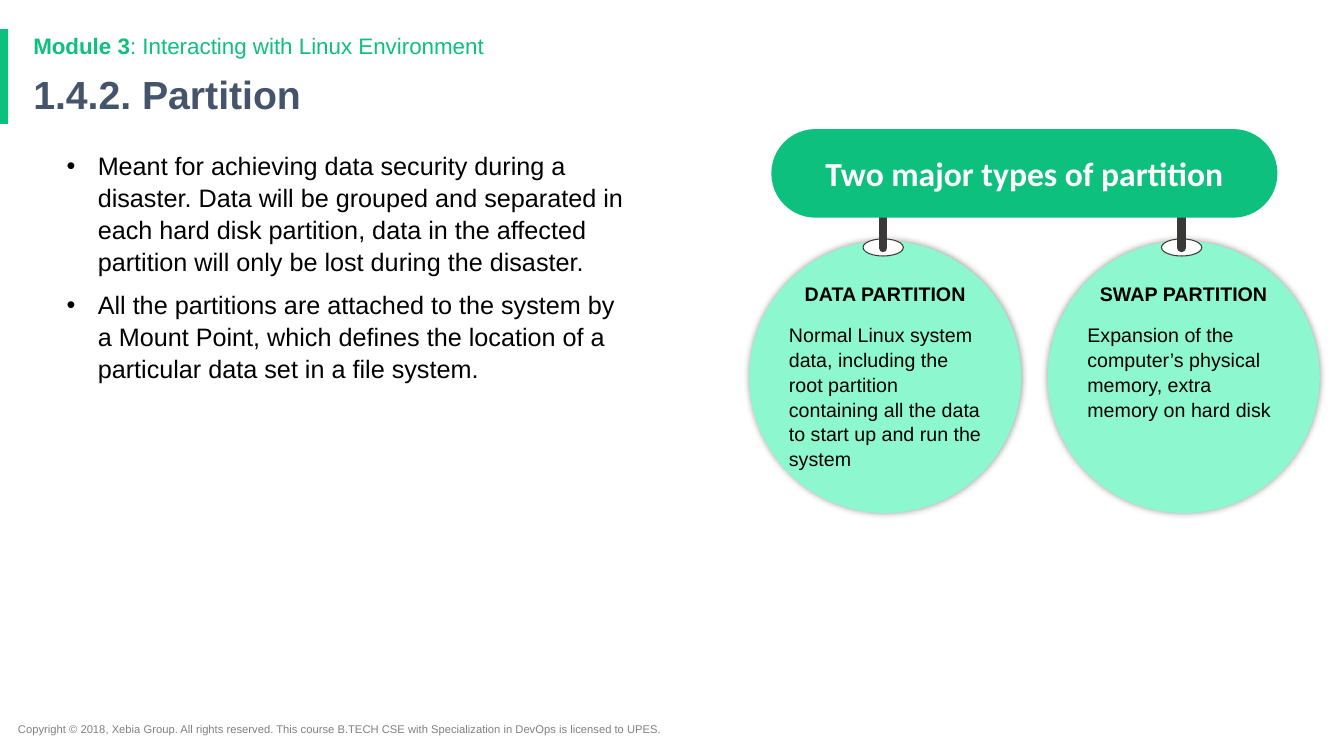
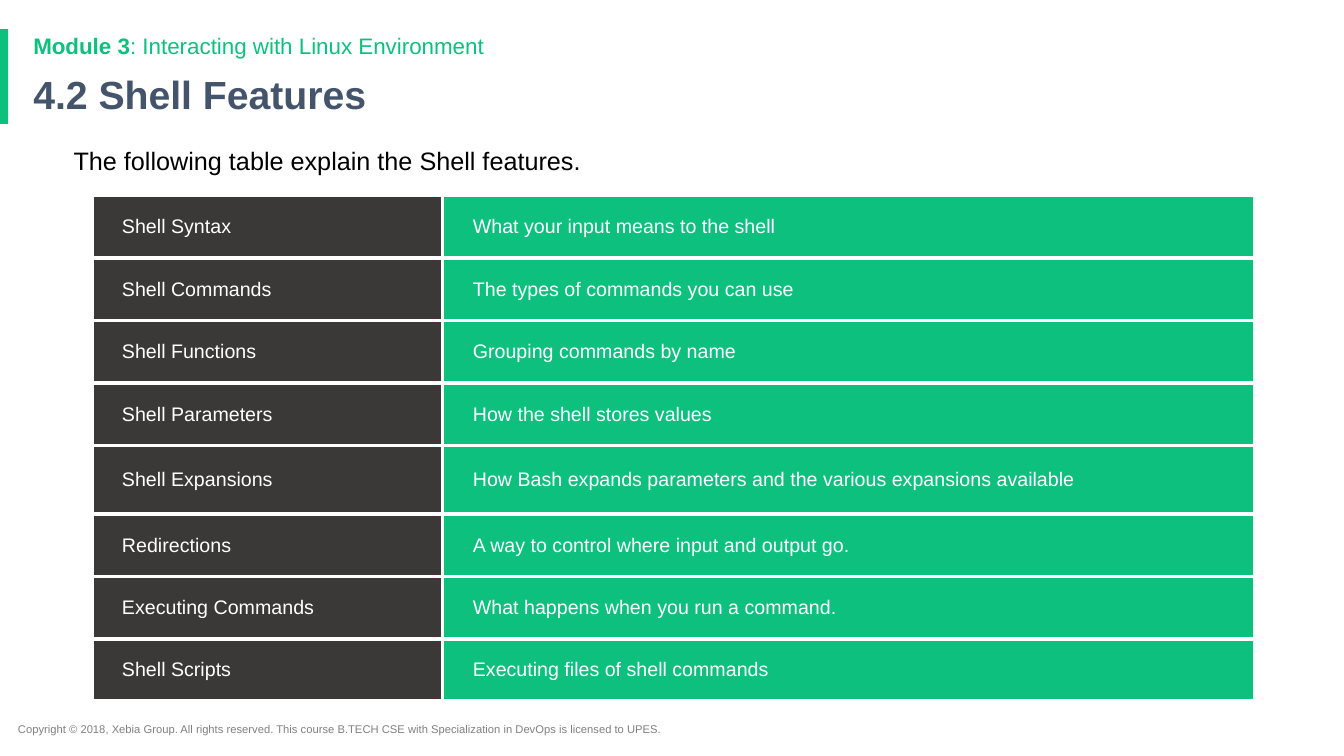
from dataclasses import dataclass

from lxml import etree
from pptx import Presentation
from pptx import util as u
from pptx.dml.color import RGBColor
from pptx.enum import shapes, text
from pptx.oxml import ns


@dataclass(frozen=True)
class Theme:
    green: str = "0EC07D"
    mint: str = "8DF7CF"
    dark: str = "3B3838"
    slate: str = "44546A"
    gray: str = "808080"
    black: str = "000000"
    white: str = "FFFFFF"
    font: str = "Arial"
    banner_font: str = "Calibri"
    title_size: int = 28
    banner_size: int = 24
    body_size: int = 18
    module_size: int = 16
    label_size: int = 14
    footer_size: int = 8


@dataclass(frozen=True)
class Box:
    left: float
    top: float
    width: float
    height: float

    def lengths(self):
        return tuple(u.Inches(n) for n in (self.left, self.top, self.width, self.height))


@dataclass(frozen=True)
class Partition:
    name: str
    description: str


@dataclass(frozen=True)
class Feature:
    name: str
    meaning: str
    row_height: float = 0.62


THEME = Theme()
TITLE_BOX = Box(0.23, 0.69, 11.5, 0.54)
MODULE_BOX = Box(0.23, 0.3, 11.5, 0.33)
BAND_BOX = Box(0, 0.29, 0.08, 0.94)
FOOTER_BOX = Box(0.08, 7.12, 7.13, 0.24)
BANNER_BOX = Box(7.65, 1.28, 5.02, 0.88)
CIRCLE_LEFT, CIRCLE_TOP, CIRCLE_SIZE, CIRCLE_STEP = 7.43, 2.39, 2.7, 2.96
HOLE_WIDTH, HOLE_HEIGHT, HOLE_TOP = 0.4, 0.17, 2.37
ROPE_OFFSET, ROPE_TOP, ROPE_BOTTOM = 1.33, 2.11, 2.46
LINE_SPACING = 1.05

COPYRIGHT = (
    "Copyright © 2018, Xebia Group. All rights reserved. "
    "This course B.TECH CSE with Specialization in DevOps is licensed to UPES."
)
PARTITION_POINTS = [
    "Meant for achieving data security during a disaster. Data will be grouped and separated in "
    "each hard disk partition, data in the affected partition will only be lost during the disaster.",
    "All the partitions are attached to the system by a Mount Point, which defines the location "
    "of a particular data set in a file system.",
]
PARTITIONS = [
    Partition(
        "DATA PARTITION",
        "Normal Linux system data, including the root partition containing all the data "
        "to start up and run the system",
    ),
    Partition(
        "SWAP PARTITION",
        "Expansion of the computer’s physical memory, extra memory on hard disk",
    ),
]
FEATURES = [
    Feature("Shell Syntax", "What your input means to the shell"),
    Feature("Shell Commands", "The types of commands you can use"),
    Feature("Shell Functions", "Grouping commands by name"),
    Feature("Shell Parameters", "How the shell stores values"),
    Feature("Shell Expansions", "How Bash expands parameters and the various expansions available", 0.68),
    Feature("Redirections", "A way to control where input and output go."),
    Feature("Executing Commands", "What happens when you run a command."),
    Feature("Shell Scripts", "Executing files of shell commands"),
]


def add_xml(parent, tag: str, **attributes: str):
    """Append a DrawingML element with its attributes."""
    return etree.SubElement(parent, ns.qn(f"a:{tag}"), attributes)


def format_runs(paragraph, size: int, color: str, bold: bool = False, font: str = THEME.font) -> None:
    """Give every run of a paragraph the same character format."""
    for run in paragraph.runs:
        run.font.name = font
        run.font.size = u.Pt(size)
        run.font.bold = bold
        run.font.color.rgb = RGBColor.from_string(color)


def set_spacing(paragraph, line: float, after: float = 0) -> None:
    """Set line spacing and the space after, with none before."""
    paragraph.line_spacing = line
    paragraph.space_before = u.Pt(0)
    paragraph.space_after = u.Pt(after)


def set_indent(paragraph, left: float, hanging: float = 0, bullet: str = "") -> None:
    """Set the indents of a paragraph and its bullet, if any."""
    properties = paragraph._p.get_or_add_pPr()
    properties.set("marL", str(u.Inches(left)))
    properties.set("indent", str(-u.Inches(hanging)))
    if bullet:
        add_xml(properties, "buFont", typeface=THEME.font)
        add_xml(properties, "buChar", char=bullet)
    else:
        add_xml(properties, "buNone")


def place(shape, box: Box) -> None:
    """Move a shape to a box."""
    shape.left, shape.top, shape.width, shape.height = box.lengths()


def add_filled(slide, kind, box: Box, fill: str):
    """Add a preset shape with a plain fill and no outline or shadow."""
    shape = slide.shapes.add_shape(kind, *box.lengths())
    shape.shadow.inherit = False
    shape.fill.solid()
    shape.fill.fore_color.rgb = RGBColor.from_string(fill)
    shape.line.fill.background()
    return shape


def add_base_slide(presentation, title: str, body_box: Box):
    """Add a slide with band, footer, title and module line, and return it with its body."""
    slide = presentation.slides.add_slide(presentation.slide_layouts[3])
    heading = slide.shapes.title
    module, body = slide.placeholders[1], slide.placeholders[2]
    for placeholder, box in ((heading, TITLE_BOX), (module, MODULE_BOX), (body, body_box)):
        place(placeholder, box)
        placeholder.text_frame.auto_size = text.MSO_AUTO_SIZE.NONE
    add_filled(slide, shapes.MSO_SHAPE.RECTANGLE, BAND_BOX, THEME.green)

    heading.text_frame.text = title
    heading.text_frame.vertical_anchor = text.MSO_ANCHOR.MIDDLE
    paragraph = heading.text_frame.paragraphs[0]
    paragraph.alignment = text.PP_ALIGN.LEFT
    set_spacing(paragraph, 0.9)
    format_runs(paragraph, THEME.title_size, THEME.slate, bold=True)

    module.text_frame.vertical_anchor = text.MSO_ANCHOR.MIDDLE
    paragraph = module.text_frame.paragraphs[0]
    for words in ("Module 3", ": Interacting with Linux Environment"):
        paragraph.add_run().text = words
    set_spacing(paragraph, 0.9)
    set_indent(paragraph, 0)
    format_runs(paragraph, THEME.module_size, THEME.green)
    paragraph.runs[0].font.bold = True

    footer = slide.shapes.add_textbox(*FOOTER_BOX.lengths())
    footer.text_frame.word_wrap = True
    footer.text_frame.auto_size = text.MSO_AUTO_SIZE.SHAPE_TO_FIT_TEXT
    footer.text_frame.text = COPYRIGHT
    format_runs(footer.text_frame.paragraphs[0], THEME.footer_size, THEME.gray)
    return slide, body


def add_circle(slide, left: float, partition: Partition) -> None:
    """Add a softly shadowed circle that describes a partition."""
    box = Box(left, CIRCLE_TOP, CIRCLE_SIZE, CIRCLE_SIZE)
    circle = add_filled(slide, shapes.MSO_SHAPE.OVAL, box, THEME.mint)
    effects = circle.element.spPr.find(ns.qn("a:effectLst"))
    shadow = add_xml(effects, "outerShdw", blurRad=str(u.Pt(5)), dist="0", dir="0", algn="ctr")
    add_xml(add_xml(shadow, "srgbClr", val=THEME.black), "alpha", val="40000")

    frame = circle.text_frame
    frame.margin_left = frame.margin_top = frame.margin_right = frame.margin_bottom = 0
    frame.vertical_anchor = text.MSO_ANCHOR.TOP
    frame.text = f"{partition.name}\n{partition.description}"
    name, description = frame.paragraphs
    name.alignment, description.alignment = text.PP_ALIGN.CENTER, text.PP_ALIGN.LEFT
    set_spacing(name, LINE_SPACING, after=12)
    set_spacing(description, LINE_SPACING)
    format_runs(name, THEME.label_size, THEME.black, bold=True)
    format_runs(description, THEME.label_size, THEME.black)


def add_hole(slide, center: float) -> None:
    """Add the white hole through which the rope passes."""
    box = Box(center - HOLE_WIDTH / 2, HOLE_TOP, HOLE_WIDTH, HOLE_HEIGHT)
    hole = add_filled(slide, shapes.MSO_SHAPE.OVAL, box, THEME.white)
    hole.line.color.rgb = RGBColor.from_string(THEME.dark)
    hole.line.width = u.Pt(0)


def add_rope(slide, left: float, right: float) -> None:
    """Add the rope that hangs the circles from the banner."""
    corners = [(left, ROPE_BOTTOM), (left, ROPE_TOP), (right, ROPE_TOP), (right, ROPE_BOTTOM)]
    points = [(u.Inches(x), u.Inches(y)) for x, y in corners]
    builder = slide.shapes.build_freeform(*points[0])
    builder.add_line_segments(points[1:], close=False)
    rope = builder.convert_to_shape()
    rope.shadow.inherit = False
    rope.fill.background()
    rope.line.color.rgb = RGBColor.from_string(THEME.dark)
    rope.line.width = u.Pt(6)
    rope.element.spPr.get_or_add_ln().set("cap", "rnd")


def add_partition_slide(presentation) -> None:
    """Build the slide about partitions."""
    slide, body = add_base_slide(presentation, "1.4.2. Partition", Box(0.56, 1.43, 5.74, 5.29))
    body.text_frame.text = "\n".join(PARTITION_POINTS)
    for paragraph in body.text_frame.paragraphs:
        paragraph.level = 1
        set_spacing(paragraph, LINE_SPACING, after=8.4)
        set_indent(paragraph, 0.31, 0.31, "•")
        format_runs(paragraph, THEME.body_size, THEME.black)

    lefts = [CIRCLE_LEFT + index * CIRCLE_STEP for index in range(len(PARTITIONS))]
    centers = [left + ROPE_OFFSET for left in lefts]
    for left, partition in zip(lefts, PARTITIONS):
        add_circle(slide, left, partition)
    for center in centers:
        add_hole(slide, center)
    add_rope(slide, centers[0], centers[-1])

    banner = add_filled(slide, shapes.MSO_SHAPE.ROUNDED_RECTANGLE, BANNER_BOX, THEME.green)
    banner.adjustments[0] = 0.5
    banner.text_frame.text = "Two major types of partition"
    banner.text_frame.vertical_anchor = text.MSO_ANCHOR.MIDDLE
    paragraph = banner.text_frame.paragraphs[0]
    paragraph.alignment = text.PP_ALIGN.CENTER
    format_runs(paragraph, THEME.banner_size, THEME.white, bold=True, font=THEME.banner_font)


def fill_cell(cell, words: str, fill: str) -> None:
    """Write a table cell with white borders and a plain fill."""
    properties = cell._tc.get_or_add_tcPr()
    for side in ("lnL", "lnR", "lnT", "lnB"):
        border = add_xml(properties, side, w=str(u.Pt(3)))
        add_xml(add_xml(border, "solidFill"), "srgbClr", val=THEME.white)
    cell.fill.solid()
    cell.fill.fore_color.rgb = RGBColor.from_string(fill)
    cell.margin_left = u.Inches(0.3)
    cell.margin_top = cell.margin_right = cell.margin_bottom = u.Inches(0.1)
    cell.vertical_anchor = text.MSO_ANCHOR.MIDDLE
    cell.text_frame.text = words
    format_runs(cell.text_frame.paragraphs[0], THEME.label_size, THEME.white)


def add_features_slide(presentation) -> None:
    """Build the slide with the table of shell features."""
    slide, body = add_base_slide(presentation, "4.2 Shell Features", Box(0.56, 1.43, 11.24, 5.29))
    body.text_frame.text = "The following table explain the Shell features."
    paragraph = body.text_frame.paragraphs[0]
    set_spacing(paragraph, 0.9, after=8.4)
    set_indent(paragraph, 0.07)
    format_runs(paragraph, THEME.body_size, THEME.black)

    box = Box(0.91, 1.94, 11.54, sum(feature.row_height for feature in FEATURES))
    table = slide.shapes.add_table(len(FEATURES), 2, *box.lengths()).table
    table.first_row = table.horz_banding = False
    for column, width in zip(table.columns, (3.48, 8.06)):
        column.width = u.Inches(width)
    for row, feature in zip(table.rows, FEATURES):
        row.height = u.Inches(feature.row_height)
        fill_cell(row.cells[0], feature.name, THEME.dark)
        fill_cell(row.cells[1], feature.meaning, THEME.green)


def main() -> None:
    """Build and save the presentation."""
    presentation = Presentation()
    presentation.slide_width, presentation.slide_height = u.Inches(13.33), u.Inches(7.5)
    add_partition_slide(presentation)
    add_features_slide(presentation)
    presentation.save("out.pptx")


if __name__ == "__main__":
    main()
